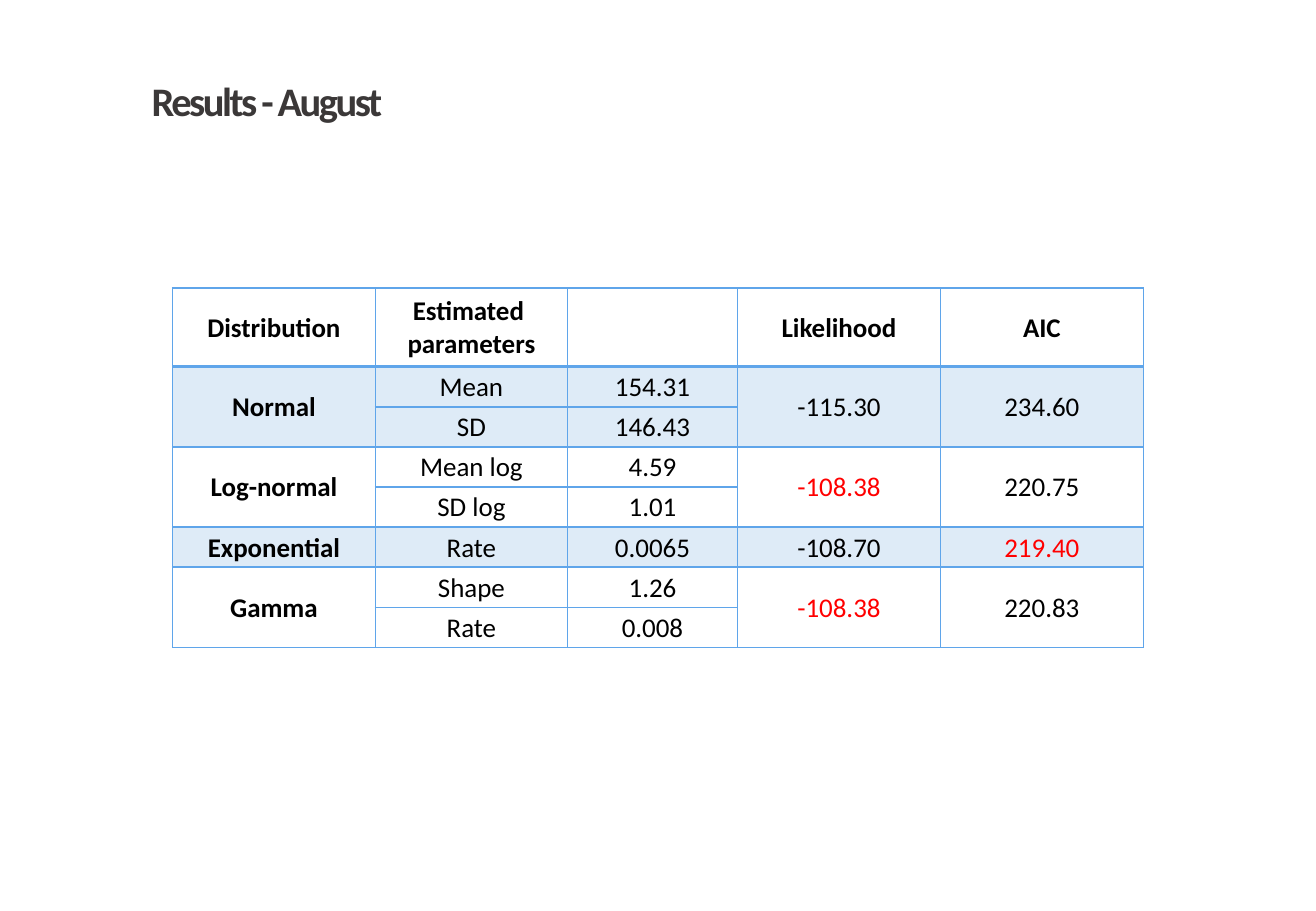
from lxml import etree
from pptx import Presentation
from pptx import util as u
from pptx.dml.color import RGBColor
from pptx.enum import text
from pptx.oxml import ns

INK = RGBColor(0x3B, 0x38, 0x38)
BLACK = RGBColor(0x00, 0x00, 0x00)
RED = RGBColor(0xFF, 0x00, 0x00)
BAND = RGBColor(0xDE, 0xEB, 0xF7)
LINE = RGBColor(0x5F, 0xA5, 0xEA)

WIDTH, HEIGHT = 10.83, 7.5
COLUMNS = [1.67, 1.58, 1.4, 1.67, 1.67]
ROWS = [0.65] + [0.33] * 7
HEADER = ["Distribution", "Estimated \nparameters", "", "Likelihood", "AIC"]
RESULTS = [
    ("Normal", [("Mean", "154.31"), ("SD", "146.43")], "-115.30", "234.60"),
    ("Log-normal", [("Mean log", "4.59"), ("SD log", "1.01")], "-108.38", "220.75"),
    ("Exponential", [("Rate", "0.0065")], "-108.70", "219.40"),
    ("Gamma", [("Shape", "1.26"), ("Rate", "0.008")], "-108.38", "220.83"),
]
BEST = {"-108.38", "219.40"}


class ResultsSlide:
    """Style and current slide, with one method for each kind of element."""

    def __init__(self, presentation, font="Calibri"):
        self.presentation = presentation
        self.font = font
        self.slide = presentation.slides.add_slide(presentation.slide_layouts[6])

    def box(self, left, top, width, height):
        across, down = self.presentation.slide_width, self.presentation.slide_height
        return int(left * across), int(top * down), int(width * across), int(height * down)

    def run(self, paragraph, words, size, color, bold=False):
        run = paragraph.add_run()
        run.text = words
        run.font.name = self.font
        run.font.size = u.Pt(size)
        run.font.bold = bold
        run.font.color.rgb = color
        return run

    def title(self, words, *place):
        frame = self.slide.shapes.add_textbox(*self.box(*place)).text_frame
        frame.word_wrap = True
        frame.auto_size = text.MSO_AUTO_SIZE.SHAPE_TO_FIT_TEXT
        run = self.run(frame.paragraphs[0], words, 24, INK, True)
        run.font._element.set("spc", "-150")

    def table(self, columns, rows, *place):
        table = self.slide.shapes.add_table(len(rows), len(columns), *self.box(*place)).table
        table.first_row = table.horz_banding = False
        for column, width in zip(table.columns, columns):
            column.width = u.Inches(width)
        for row, height in zip(table.rows, rows):
            row.height = u.Inches(height)
        return table

    def borders(self, cell, top, bottom):
        properties = cell._tc.get_or_add_tcPr()
        for side, points in (("L", 1), ("R", 1), ("T", top), ("B", bottom)):
            line = etree.SubElement(properties, ns.qn("a:ln" + side), w=str(u.Pt(points)))
            fill = etree.SubElement(line, ns.qn("a:solidFill"))
            etree.SubElement(fill, ns.qn("a:srgbClr"), val=str(LINE))

    def cell(self, cell, words, bold=False, band=False, top=1, bottom=1):
        self.borders(cell, top, bottom)
        if band:
            cell.fill.solid()
            cell.fill.fore_color.rgb = BAND
        else:
            cell.fill.background()
        cell.vertical_anchor = text.MSO_ANCHOR.MIDDLE
        cell.margin_left = cell.margin_right = cell.margin_top = u.Inches(0.01)
        cell.margin_bottom = 0
        frame = cell.text_frame
        for index, line in enumerate(words.split("\n")):
            paragraph = frame.add_paragraph() if index else frame.paragraphs[0]
            paragraph.alignment = text.PP_ALIGN.CENTER
            if line:
                self.run(paragraph, line, 16, RED if line in BEST else BLACK, bold)


def main():
    presentation = Presentation()
    presentation.slide_width = u.Inches(WIDTH)
    presentation.slide_height = u.Inches(HEIGHT)
    page = ResultsSlide(presentation)
    page.title("Results - August", 1.15 / WIDTH, 0.58 / HEIGHT, 4.35 / WIDTH, 0.5 / HEIGHT)
    table = page.table(COLUMNS, ROWS, 1.42 / WIDTH, 2.37 / HEIGHT,
                       sum(COLUMNS) / WIDTH, sum(ROWS) / HEIGHT)
    for column, words in enumerate(HEADER):
        page.cell(table.cell(0, column), words, bold=True, bottom=2.25)

    first = 1
    for group, (name, parameters, likelihood, aic) in enumerate(RESULTS):
        for offset, (parameter, value) in enumerate(parameters):
            row = first + offset
            shared = ("", "", "") if offset else (name, likelihood, aic)
            values = [shared[0], parameter, value, *shared[1:]]
            for column, words in enumerate(values):
                page.cell(table.cell(row, column), words, bold=column == 0,
                          band=group % 2 == 0, top=2.25 if row == 1 else 1)
        last = first + len(parameters) - 1
        if last > first:
            for column in (0, 3, 4):
                table.cell(first, column).merge(table.cell(last, column))
        first = last + 1
    presentation.save("out.pptx")


if __name__ == "__main__":
    main()
